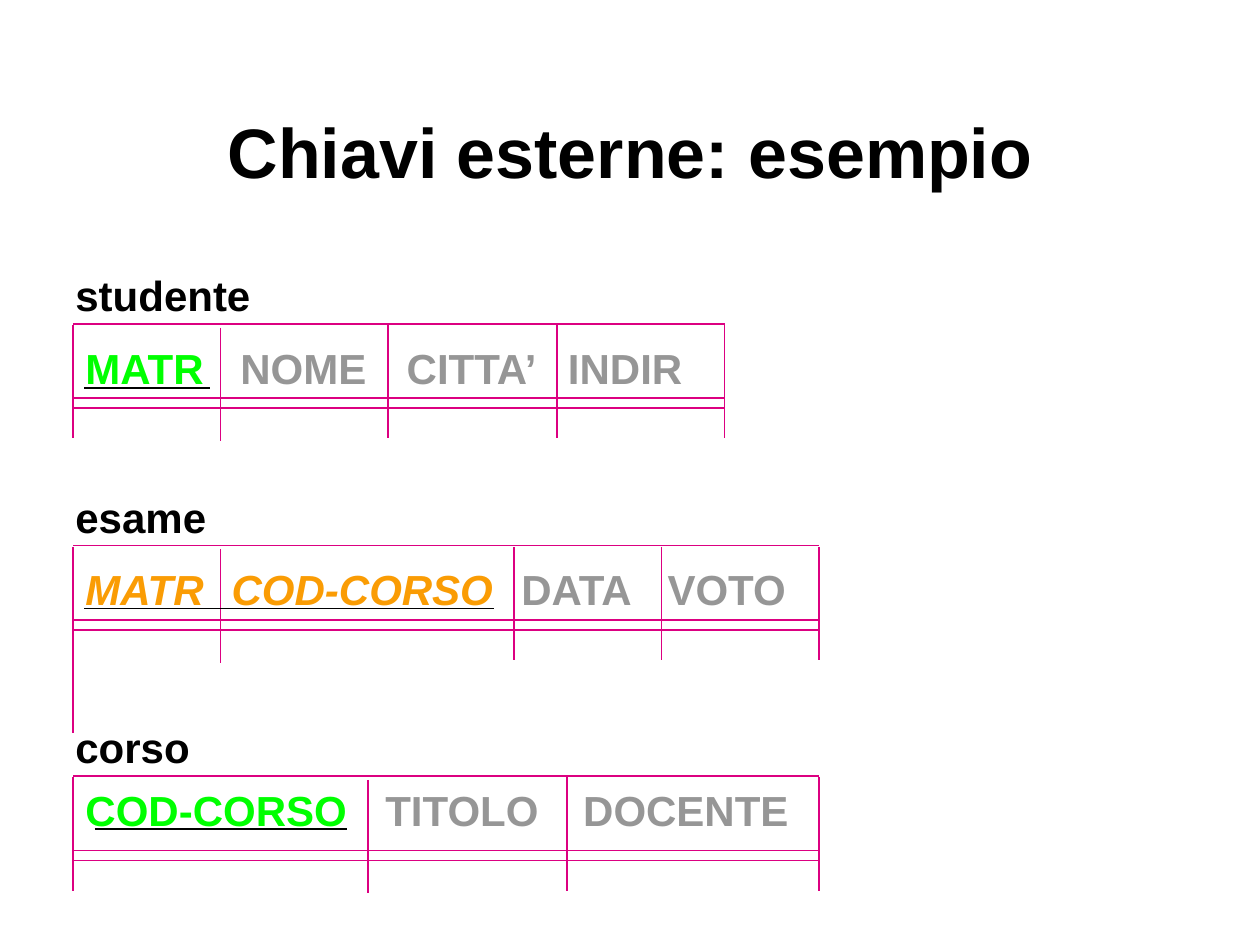
"""Build a slide showing foreign keys across three relational schemas."""
import pptx
import pptx.util
import pptx.dml.color
import pptx.enum.shapes
import pptx.enum.text
import pptx.oxml.ns
import lxml.etree

Inches = pptx.util.Inches
RGBColor = pptx.dml.color.RGBColor
BLACK = RGBColor(0x00, 0x00, 0x00)
GREY = RGBColor(0x96, 0x96, 0x96)
GREEN = RGBColor(0x00, 0xFF, 0x00)
ORANGE = RGBColor(0xFA, 0x9C, 0x04)
MAGENTA = RGBColor(0xDC, 0x00, 0x81)
BOLD = {"name": "Arial", "size": pptx.util.Pt(24), "bold": True}
KEY = {**BOLD, "italic": True}
TITLE = {**BOLD, "size": pptx.util.Pt(40)}

prs = pptx.Presentation()
prs.slide_width, prs.slide_height = Inches(10), Inches(7.5)
s = prs.slides.add_slide(prs.slide_layouts[6])


def add_line(x1, y1, x2, y2, color=MAGENTA, width=1):
    c = s.shapes.add_connector(
        pptx.enum.shapes.MSO_CONNECTOR.STRAIGHT,
        Inches(x1), Inches(y1), Inches(x2), Inches(y2))
    c.line.color.rgb = color
    c.line.width = pptx.util.Pt(width)
    lxml.etree.SubElement(c._element.spPr, pptx.oxml.ns.qn("a:effectLst"))


def add_text(x, y, w, h, runs, tabs=(), spacing=None):
    tf = s.shapes.add_textbox(Inches(x), Inches(y), Inches(w), Inches(h)).text_frame
    tf.word_wrap = True
    p = tf.paragraphs[0]
    if spacing:
        p.line_spacing = spacing
    if tabs:
        tab_list = lxml.etree.SubElement(
            p._p.get_or_add_pPr(), pptx.oxml.ns.qn("a:tabLst"))
        for pos in tabs:
            lxml.etree.SubElement(
                tab_list, pptx.oxml.ns.qn("a:tab"), pos=str(Inches(pos)), algn="l")
    for text, color, formats in runs:
        r = p.add_run()
        r.text = text
        for name, value in formats.items():
            setattr(r.font, name, value)
        r.font.color.rgb = color
    return tf


tf = add_text(0, 0.25, 10, 2, [("Chiavi esterne: esempio", BLACK, TITLE)], spacing=0.85)
tf.vertical_anchor = pptx.enum.text.MSO_ANCHOR.MIDDLE
tf.paragraphs[0].alignment = pptx.enum.text.PP_ALIGN.CENTER

LEFT = 0.58
relations = [
    {"name": "studente", "top": 2.57, "text_top": 2.49, "columns": [1.75, 3.08, 4.42, 5.75],
     "tabs": [1.23, 2.55, 3.83], "underline": (0.67, 1.67, 3.08),
     "runs": [("MATR", GREEN, BOLD), ("\tNOME\tCITTA’\tINDIR", GREY, BOLD)]},
    {"name": "esame", "top": 4.33, "text_top": 4.24, "columns": [1.75, 4.08, 5.25, 6.5],
     "tabs": [1.16, 3.46, 4.62], "underline": (0.67, 3.92, 4.83),
     "runs": [("MATR\tCOD-CORSO", ORANGE, KEY), ("\tDATA\tVOTO", GREY, BOLD)]},
    {"name": "corso", "top": 6.16, "text_top": 6, "columns": [2.92, 4.5, 6.5],
     "tabs": [2.38, 3.95], "underline": (0.75, 2.75, 6.58),
     "runs": [("COD-CORSO", GREEN, BOLD), ("\tTITOLO\tDOCENTE", GREY, BOLD)]},
]

for rel in relations:
    top, right = rel["top"], rel["columns"][-1]
    for offset in (0, 0.59, 0.67):
        add_line(LEFT, top + offset, right, top + offset)
    for i, x in enumerate([LEFT] + rel["columns"]):
        start = top + (0.03 if i == 1 else 0.01)
        add_line(x, start, x, start + 0.9)
    add_text(0.5, top - 0.48, 2.08, 0.5, [(rel["name"], BLACK, BOLD)])
    add_text(LEFT, rel["text_top"], right - LEFT, 0.65, rel["runs"], rel["tabs"], 1.45)
    x1, x2, y = rel["underline"]
    add_line(x1, y, x2, y, BLACK, 0.75)

add_line(LEFT, 4.92, LEFT, 5.82)

prs.save("out.pptx")
